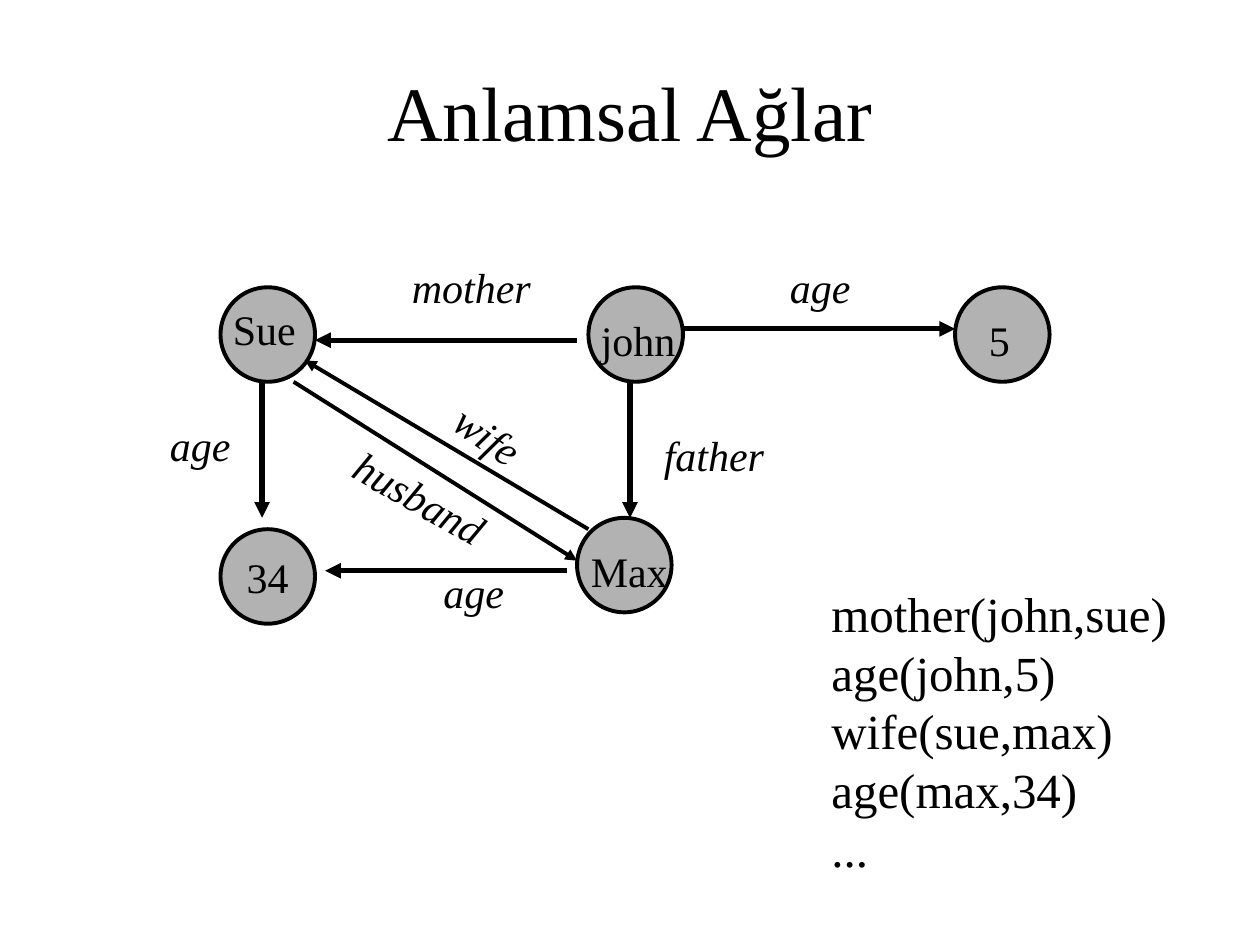
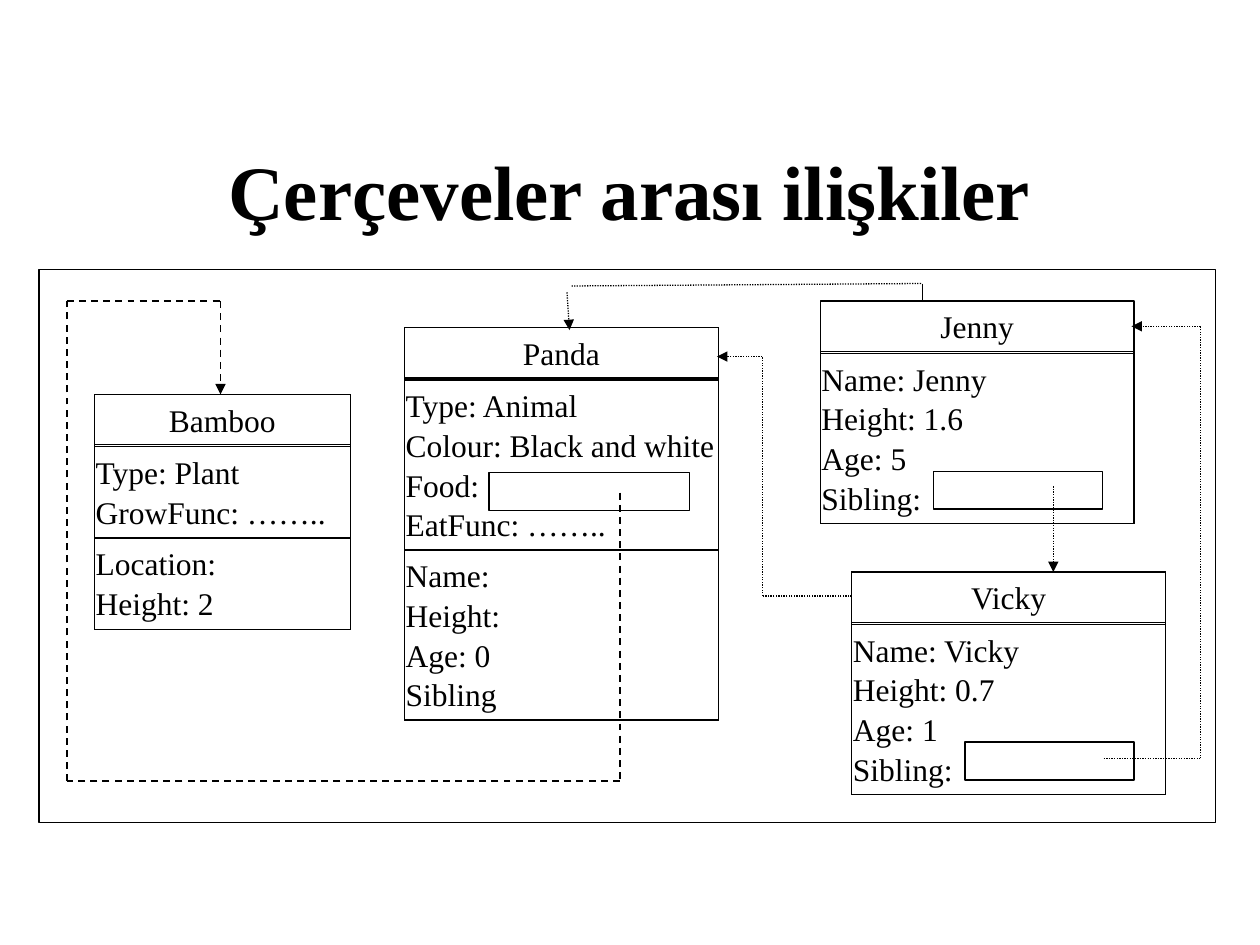
"""Build two slides on knowledge representation: a semantic network and linked frames."""
from lxml.etree import SubElement
from pptx import Presentation
from pptx.dml.color import RGBColor
from pptx.enum.dml import MSO_LINE
from pptx.enum.shapes import MSO_CONNECTOR, MSO_SHAPE
from pptx.enum.text import MSO_ANCHOR, MSO_AUTO_SIZE, PP_ALIGN
from pptx.oxml.ns import qn
from pptx.util import Inches, Pt

COLORS = {"ink": "000000", "paper": "FFFFFF", "node": "B2B2B2"}
INK, PAPER, NODE = (RGBColor.from_string(value) for value in COLORS.values())
FONT = "Times New Roman"

presentation = Presentation()
presentation.slide_width, presentation.slide_height = Inches(10), Inches(7.5)
GRID = presentation.slide_width // 100


def write_text(shape, text, size=24, bold=False, italic=False, align=PP_ALIGN.LEFT,
               anchor=MSO_ANCHOR.TOP, wrap=True, space_before=0, margins=(0.1, 0.1)):
    frame = shape.text_frame
    frame.text = text
    frame.auto_size = MSO_AUTO_SIZE.NONE
    frame.word_wrap = wrap
    frame.vertical_anchor = anchor
    frame.margin_left, frame.margin_right = (Inches(margin) for margin in margins)
    frame.margin_top = frame.margin_bottom = Inches(0.05)
    for paragraph in frame.paragraphs:
        paragraph.alignment = align
        paragraph.space_before = Pt(space_before)
        for run in paragraph.runs:
            run.font.name, run.font.size = FONT, Pt(size)
            run.font.bold, run.font.italic = bold, italic
            run.font.color.rgb = INK


def connect(slide, points, width, dash=None, arrow=True):
    for start, end in zip(points, points[1:]):
        connector = slide.shapes.add_connector(
            MSO_CONNECTOR.STRAIGHT, *(round(value * GRID) for value in start + end))
        connector.line.width = Pt(width)
        connector.line.color.rgb = INK
        if dash:
            connector.line.dash_style = dash
        properties = connector.element.spPr
        if arrow and end == points[-1]:
            SubElement(properties.find(qn("a:ln")), qn("a:tailEnd"), type="triangle")
        SubElement(properties, qn("a:effectLst"))


slides = []
for title, top, bold, anchor in [
    ("Anlamsal Ağlar", 2.5, False, MSO_ANCHOR.MIDDLE),
    ("Çerçeveler arası ilişkiler", 6.7, True, MSO_ANCHOR.BOTTOM),
]:
    slide = presentation.slides.add_slide(presentation.slide_layouts[5])
    placeholder = slide.shapes.title
    placeholder.left, placeholder.top, placeholder.width, placeholder.height = (
        round(value * GRID) for value in (7.5, top, 85, 12.5))
    write_text(placeholder, title, size=44, bold=bold, align=PP_ALIGN.CENTER, anchor=anchor)
    slides.append(slide)
network_slide, frames_slide = slides

for left, top in [(46.7, 22.8), (17.5, 22.8), (75.8, 22.8), (17.5, 42), (45.8, 41.1)]:
    node = network_slide.shapes.add_shape(
        MSO_SHAPE.OVAL, *(round(value * GRID) for value in (left, top, 7.5, 7.5)))
    node.shadow.inherit = False
    node.fill.solid()
    node.fill.fore_color.rgb = NODE
    node.line.color.rgb = INK
    node.line.width = Pt(2.25)
    if (left, top) == (17.5, 42):
        write_text(node, "34", align=PP_ALIGN.CENTER, anchor=MSO_ANCHOR.MIDDLE, wrap=False)

for start, end, width in [
    ((54.2, 26.1), (75.8, 26.1), 3),
    ((45.8, 27), (25, 27), 3),
    ((20.8, 30.3), (20.8, 41.1), 3),
    ((50, 30.3), (50, 41.1), 3),
    ((45, 45.3), (25.8, 45.3), 3),
    ((46.7, 42), (24.2, 28.6), 2.25),
    ((23.3, 30.3), (45.8, 44.5), 2.25),
]:
    connect(network_slide, [start, end], width)

facts = "mother(john,sue)\nage(john,5)\nwife(sue,max)\nage(max,34)\n..."
for text, left, top, width, height, rotation, style in [
    (facts, 65, 45.8, 29.9, 24.4, 0, {"size": 28}),
    ("john", 46.7, 24.5, 7.9, 5, 0, {"wrap": False}),
    ("5", 77.5, 24.5, 3.6, 5, 0, {"wrap": False}),
    ("Sue", 17.5, 23.6, 7, 5, 0, {"wrap": False}),
    ("Max", 45.9, 42.8, 8.1, 5, 0, {"wrap": False}),
    ("age", 12.5, 32.8, 6.8, 5, 0, {"wrap": False, "italic": True}),
    ("mother", 31.7, 20.3, 11.4, 5, 0, {"wrap": False, "italic": True}),
    ("age", 61.7, 20.3, 6.8, 5, 0, {"wrap": False, "italic": True}),
    ("father", 51.7, 33.6, 9.9, 5, 0, {"wrap": False, "italic": True}),
    ("wife", 35, 32, 7.5, 5, 35.5, {"wrap": False, "italic": True}),
    ("husband", 26.7, 37, 13.3, 5, 29.7, {"wrap": False, "italic": True}),
    ("age", 34.2, 44.5, 6.8, 5, 0, {"wrap": False, "italic": True}),
]:
    label = network_slide.shapes.add_textbox(
        *(round(value * GRID) for value in (left, top, width, height)))
    label.rotation = rotation
    write_text(label, text, **style)

HEADER_HEIGHT, HEADER_PITCH = 4, 4.15
SECTION_HEIGHT = {2: 7.25, 4: 13.5}
boxes = [(3.1, 21.4, 93.4, 43.9, None, True)]
for name, left, top, width, sections, slot in [
    ("Panda", 32.1, 26, 24.9,
     [["Type: Animal", "Colour: Black and white", "Food:", "EatFunc: …….."],
      ["Name:", "Height:", "Age: 0", "Sibling"]], (6.7, 11.5, 15.9, 3)),
    ("Bamboo", 7.5, 31.3, 20.3,
     [["Type: Plant", "GrowFunc: …….."], ["Location:", "Height: 2"]], None),
    ("Jenny", 65.1, 23.9, 24.9,
     [["Name: Jenny", "Height: 1.6", "Age: 5", "Sibling:"]], (9, 13.5, 13.4, 3)),
    ("Vicky", 67.6, 45.4, 24.9,
     [["Name: Vicky", "Height: 0.7", "Age: 1", "Sibling:"]], (9, 13.5, 13.4, 3)),
]:
    height = HEADER_PITCH + sum(SECTION_HEIGHT[len(lines)] for lines in sections)
    boxes.append((left, top, width, height, None, True))
    boxes.append((left, top, width, HEADER_HEIGHT, name, False))
    section_top = top + HEADER_PITCH
    for lines in sections:
        section_height = SECTION_HEIGHT[len(lines)]
        boxes.append((left, section_top, width, section_height, "\n".join(lines), False))
        section_top += section_height
    if slot:
        boxes.append((left + slot[0], top + slot[1], *slot[2:], None, False))

for *bounds, text, filled in boxes:
    box = frames_slide.shapes.add_shape(
        MSO_SHAPE.RECTANGLE, *(round(value * GRID) for value in bounds))
    box.shadow.inherit = False
    box.line.color.rgb = INK
    box.line.width = Pt(0.75)
    if filled:
        box.fill.solid()
        box.fill.fore_color.rgb = PAPER
    else:
        box.fill.background()
    if text and "\n" in text:
        write_text(box, text, size=18, space_before=1.1, margins=(0.01, 0))
    elif text:
        write_text(box, text, size=18, space_before=1.1, align=PP_ALIGN.CENTER)

DOTTED = MSO_LINE.ROUND_DOT
for points, width, dash, arrow in [
    ([(49.2, 39.1), (49.2, 62), (5.3, 62), (5.3, 23.9), (17.5, 23.9), (17.5, 31.3)],
     1, MSO_LINE.DASH, True),
    ([(73.2, 22.5), (73.2, 23.9)], 0.75, None, False),
    ([(73.1, 22.5), (45.3, 22.7)], 0.75, DOTTED, False),
    ([(45, 23.2), (45.2, 26.2)], 0.75, DOTTED, True),
    ([(67.6, 47.3), (60.5, 47.3), (60.5, 28.3), (56.9, 28.3)], 0.75, DOTTED, True),
    ([(87.6, 60.2), (95.3, 60.2), (95.3, 25.9), (89.8, 25.9)], 0.75, DOTTED, True),
    ([(83.6, 38.6), (83.6, 45.4)], 0.75, DOTTED, True),
]:
    connect(frames_slide, points, width, dash, arrow)

presentation.save("out.pptx")
